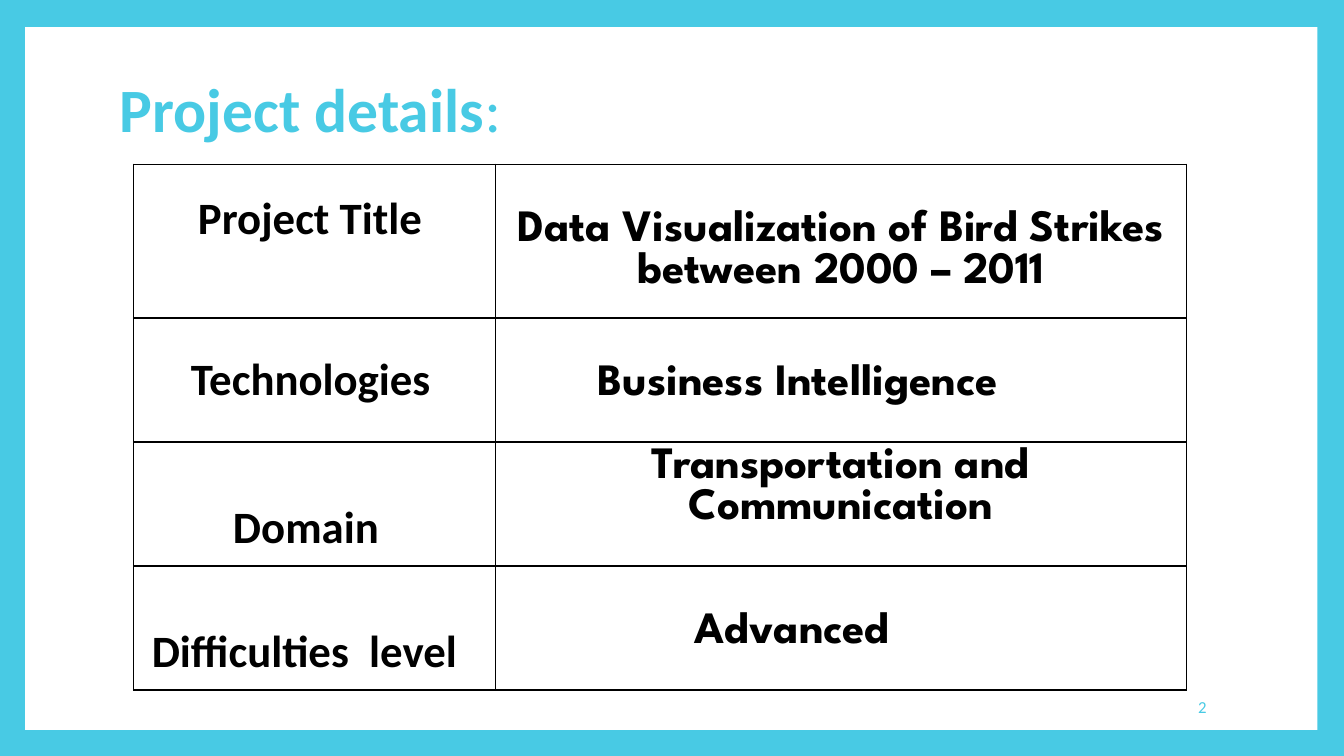
from dataclasses import dataclass

import pptx
import pptx.dml.color
import pptx.enum.shapes
import pptx.enum.text
import pptx.oxml.xmlchemy
import pptx.util
from pptx.util import Pt

SKY, WHITE, BLACK = "48CAE4", "FFFFFF", "000000"
LABEL_FONT, VALUE_FONT = "Calibri", "League Spartan"
ALIGN = pptx.enum.text.PP_ALIGN
ANCHOR = pptx.enum.text.MSO_ANCHOR


@dataclass
class Entry:
    """Text of a table cell, with its indents from the cell's left and top edges."""
    text: str
    left: float
    top: float
    align: ALIGN = ALIGN.LEFT


@dataclass
class Detail:
    label: Entry
    value: Entry
    height: float


DETAILS = [
    Detail(Entry("Project Title", 46, 20),
           Entry("Data Visualization of Bird Strikes between 2000 – 2011", 7.2, 33, ALIGN.CENTER), 95.7),
    Detail(Entry("Technologies", 41, 25), Entry("Business Intelligence", 73, 33), 88.6),
    Detail(Entry("Domain", 71, 42),
           Entry("Transportation and Communication", 7.2, 3.6, ALIGN.CENTER), 88.6),
    Detail(Entry("Difficulties  level", 13, 42), Entry("Advanced", 142, 33), 88.6),
]
COLUMN_WIDTHS = (258.6, 493.6)


def color(value: str) -> pptx.dml.color.RGBColor:
    return pptx.dml.color.RGBColor.from_string(value)


def format_span(span, font: str, size: float, tint: str, bold: bool = False) -> None:
    span.font.name = font
    span.font.size = Pt(size)
    span.font.bold = bold
    span.font.color.rgb = color(tint)


def add_text_box(page, left: float, top: float, width: float, height: float, text: str):
    box = page.shapes.add_textbox(Pt(left), Pt(top), Pt(width), Pt(height))
    frame = box.text_frame
    frame.word_wrap = True
    frame.vertical_anchor = ANCHOR.MIDDLE
    frame.text = text
    return frame.paragraphs[0]


def add_borders(cell) -> None:
    properties = cell._tc.get_or_add_tcPr()
    for side in ("a:lnL", "a:lnR", "a:lnT", "a:lnB"):
        line = pptx.oxml.xmlchemy.OxmlElement(side)
        line.set("w", str(Pt(1)))
        fill = pptx.oxml.xmlchemy.OxmlElement("a:solidFill")
        tint = pptx.oxml.xmlchemy.OxmlElement("a:srgbClr")
        tint.set("val", BLACK)
        fill.append(tint)
        line.append(fill)
        properties.append(line)


def fill_cell(cell, entry: Entry, font: str) -> None:
    add_borders(cell)
    cell.fill.background()
    cell.margin_left, cell.margin_top = Pt(entry.left), Pt(entry.top)
    cell.margin_right, cell.margin_bottom = Pt(7.2), Pt(0)
    cell.vertical_anchor = ANCHOR.TOP
    cell.text_frame.text = entry.text
    para = cell.text_frame.paragraphs[0]
    para.alignment = entry.align
    format_span(para.runs[0], font, 32, BLACK, True)


def add_details_table(page, left: float, top: float) -> None:
    height = sum(detail.height for detail in DETAILS)
    table = page.shapes.add_table(len(DETAILS), len(COLUMN_WIDTHS), Pt(left), Pt(top),
                                  Pt(sum(COLUMN_WIDTHS)), Pt(height)).table
    table.first_row = False
    table.horz_banding = False
    for column, width in zip(table.columns, COLUMN_WIDTHS):
        column.width = Pt(width)
    for row, detail in zip(table.rows, DETAILS):
        row.height = Pt(detail.height)
        fill_cell(row.cells[0], detail.label, LABEL_FONT)
        fill_cell(row.cells[1], detail.value, VALUE_FONT)


def main() -> None:
    deck = pptx.Presentation()
    deck.slide_width, deck.slide_height = Pt(960), Pt(540)
    page = deck.slides.add_slide(deck.slide_layouts[6])

    # Coloured frame around a white panel
    page.background.fill.solid()
    page.background.fill.fore_color.rgb = color(SKY)
    panel = page.shapes.add_shape(pptx.enum.shapes.MSO_SHAPE.RECTANGLE,
                                  Pt(18), Pt(19.4), Pt(923), Pt(502))
    panel.shadow.inherit = False
    panel.fill.solid()
    panel.fill.fore_color.rgb = color(WHITE)
    panel.line.fill.background()

    # Title with a lighter colon
    title = add_text_box(page, 78.5, 42.5, 306.7, 75.6, "Project details")
    title.line_spacing = 0.9
    format_span(title.runs[0], LABEL_FONT, 44, SKY, True)
    colon = title.add_run()
    colon.text = ":"
    format_span(colon, LABEL_FONT, 44, SKY)

    # Project details
    add_details_table(page, 95.4, 117.3)

    # Page number
    number = add_text_box(page, 734.4, 490.3, 134.6, 28.8, "2")
    number.alignment = ALIGN.RIGHT
    format_span(number.runs[0], LABEL_FONT, 12, SKY)

    deck.save("out.pptx")


if __name__ == "__main__":
    main()
